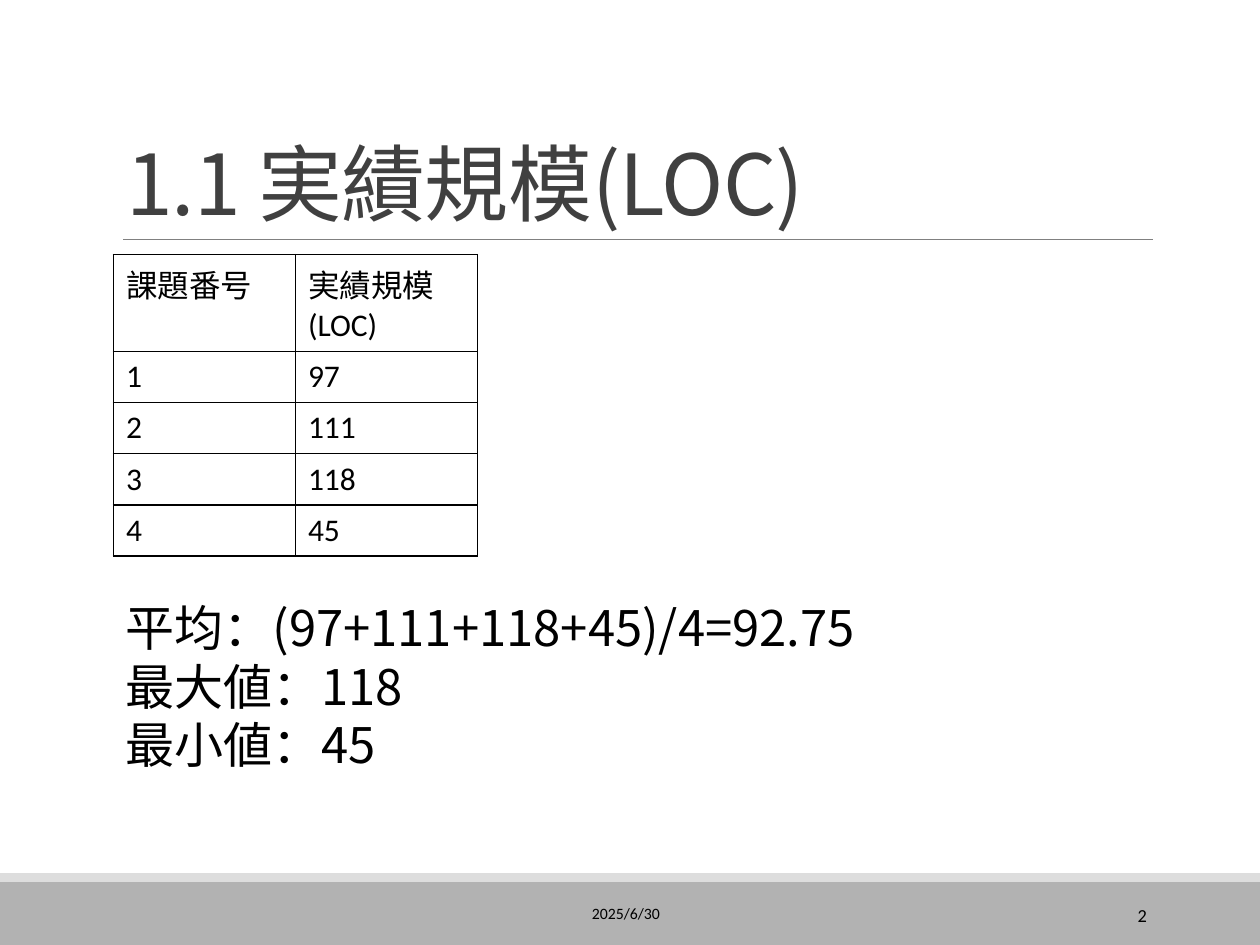
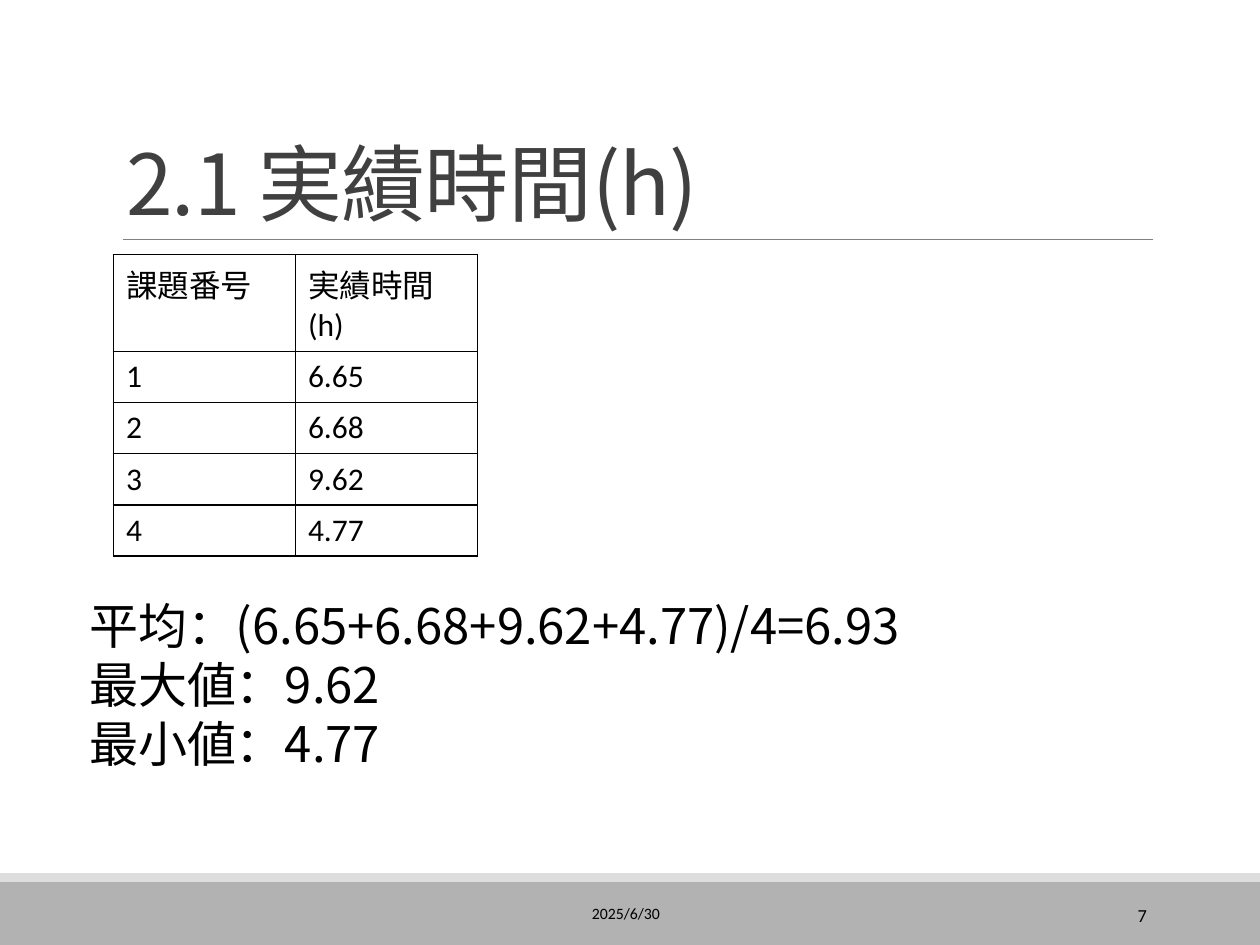
from lxml import etree
from pptx import Presentation
from pptx.dml.color import RGBColor
from pptx.enum.shapes import MSO_CONNECTOR, MSO_SHAPE
from pptx.enum.text import MSO_ANCHOR, MSO_AUTO_SIZE, PP_ALIGN
from pptx.oxml.ns import qn
from pptx.util import Inches, Pt

RECT = MSO_SHAPE.RECTANGLE
LINE = MSO_CONNECTOR.STRAIGHT
TOP, MIDDLE, BOTTOM = MSO_ANCHOR.TOP, MSO_ANCHOR.MIDDLE, MSO_ANCHOR.BOTTOM
LEFT, RIGHT = PP_ALIGN.LEFT, PP_ALIGN.RIGHT
FIT, FIXED = MSO_AUTO_SIZE.SHAPE_TO_FIT_TEXT, MSO_AUTO_SIZE.NONE

COLORS = {
    "white": "FFFFFF",
    "text": "000000",
    "title": "404040",
    "rule": "808080",
    "band": "B2B2B2",
    "strip": "DDDDDD",
}
LATIN, ASIAN = "Calibri", "Noto Sans CJK JP"
STYLES = {
    "title": {"size": Pt(48), "name": ASIAN, "bold": False},
    "stats": {"size": Pt(28), "name": ASIAN},
    "cell": {"size": Pt(18), "name": LATIN, "bold": False},
    "date": {"size": Pt(9), "name": LATIN},
    "page": {"size": Pt(10.5), "name": LATIN},
}
DATE = "2025/6/30"
SLIDES = [
    {
        "title": "1.1 実績規模(LOC)",
        "head": "実績規模(LOC)",
        "values": ["97", "111", "118", "45"],
        "stats": ["平均：(97+111+118+45)/4=92.75", "最大値：118", "最小値：45"],
        "box": (0.9, 4.69, 6.95, 1.51),
        "page": "2",
    },
    {
        "title": "2.1 実績時間(h)",
        "head": "実績時間(h)",
        "values": ["6.65", "6.68", "9.62", "4.77"],
        "stats": ["平均：(6.65+6.68+9.62+4.77)/4=6.93", "最大値：9.62", "最小値：4.77"],
        "box": (0.61, 4.68, 7.73, 1.51),
        "page": "7",
    },
]


def color(key):
    return RGBColor.from_string(COLORS[key])


def inches(box):
    return [Inches(n) for n in box]


def assign(item, values):
    for key, value in values.items():
        setattr(item, key, value)


def write(frame, lines, style, align=LEFT, tint="text"):
    for i, line in enumerate(lines):
        para = frame.paragraphs[0] if i == 0 else frame.add_paragraph()
        para.alignment = align
        run = para.add_run()
        run.text = line
        assign(run.font, STYLES[style])
        run.font.color.rgb = color(tint)
        east = etree.SubElement(run.font._element, qn("a:ea"))
        east.set("typeface", ASIAN)


def add_band(slide, box, tint):
    band = slide.shapes.add_shape(RECT, *inches(box))
    band.shadow.inherit = False
    band.fill.solid()
    band.fill.fore_color.rgb = color(tint)
    band.line.fill.background()


def add_rule(slide, start, end):
    rule = slide.shapes.add_connector(LINE, *inches(start + end))
    rule.line.color.rgb = color("rule")
    rule.line.width = Pt(0.5)
    etree.SubElement(rule._element.spPr, qn("a:effectLst"))


def add_title(slide, text):
    title = slide.shapes.title
    left, top, width, height = inches((0.9, 0.31, 8.25, 1.59))
    assign(title, {"left": left, "top": top, "width": width, "height": height})
    frame = title.text_frame
    assign(frame, {"vertical_anchor": BOTTOM, "word_wrap": True, "auto_size": FIXED})
    write(frame, [text], "title", tint="title")
    para = frame.paragraphs[0]
    para.line_spacing = 0.85
    para.runs[0].font._element.set("spc", "-50")


def add_text(slide, box, lines, style, align=LEFT, anchor=MIDDLE, wrap=True, size=FIXED):
    frame = slide.shapes.add_textbox(*inches(box)).text_frame
    assign(frame, {"vertical_anchor": anchor, "word_wrap": wrap, "auto_size": size})
    write(frame, lines, style, align)


def add_edges(cell):
    props = cell._tc.get_or_add_tcPr()
    for i, side in enumerate(("lnL", "lnR", "lnT", "lnB")):
        edge = etree.Element(qn(f"a:{side}"), w=str(Pt(1)))
        fill = etree.SubElement(edge, qn("a:solidFill"))
        etree.SubElement(fill, qn("a:srgbClr"), val=COLORS["text"])
        props.insert(i, edge)


def add_table(slide, head, values):
    rows = [("課題番号", head)]
    rows += [(str(i), value) for i, value in enumerate(values, 1)]
    box = inches((0.9, 2.02, 2.89, 2.37))
    table = slide.shapes.add_table(len(rows), 2, *box).table
    assign(table, {"first_row": False, "horz_banding": False})
    for r, row in enumerate(rows):
        table.rows[r].height = Inches(0.4 if r else 0.77)
        for c, text in enumerate(row):
            cell = table.cell(r, c)
            cell.fill.solid()
            cell.fill.fore_color.rgb = color("white")
            write(cell.text_frame, [text], "cell")
            add_edges(cell)


def add_frame(slide, page):
    add_band(slide, (0, 7, 10, 0.5), "band")
    add_band(slide, (0, 6.93, 10, 0.07), "strip")
    add_rule(slide, (0.98, 1.9), (9.15, 1.9))
    add_text(slide, (4.6, 7.05, 2.03, 0.4), [DATE], "date")
    add_text(slide, (8.12, 7.06, 1.08, 0.4), [page], "page", RIGHT)


def main():
    deck = Presentation()
    assign(deck, {"slide_width": Inches(10), "slide_height": Inches(7.5)})
    for data in SLIDES:
        slide = deck.slides.add_slide(deck.slide_layouts[5])
        add_frame(slide, data["page"])
        add_title(slide, data["title"])
        add_table(slide, data["head"], data["values"])
        add_text(slide, data["box"], data["stats"], "stats", anchor=TOP, wrap=False, size=FIT)
    deck.save("out.pptx")


if __name__ == "__main__":
    main()
